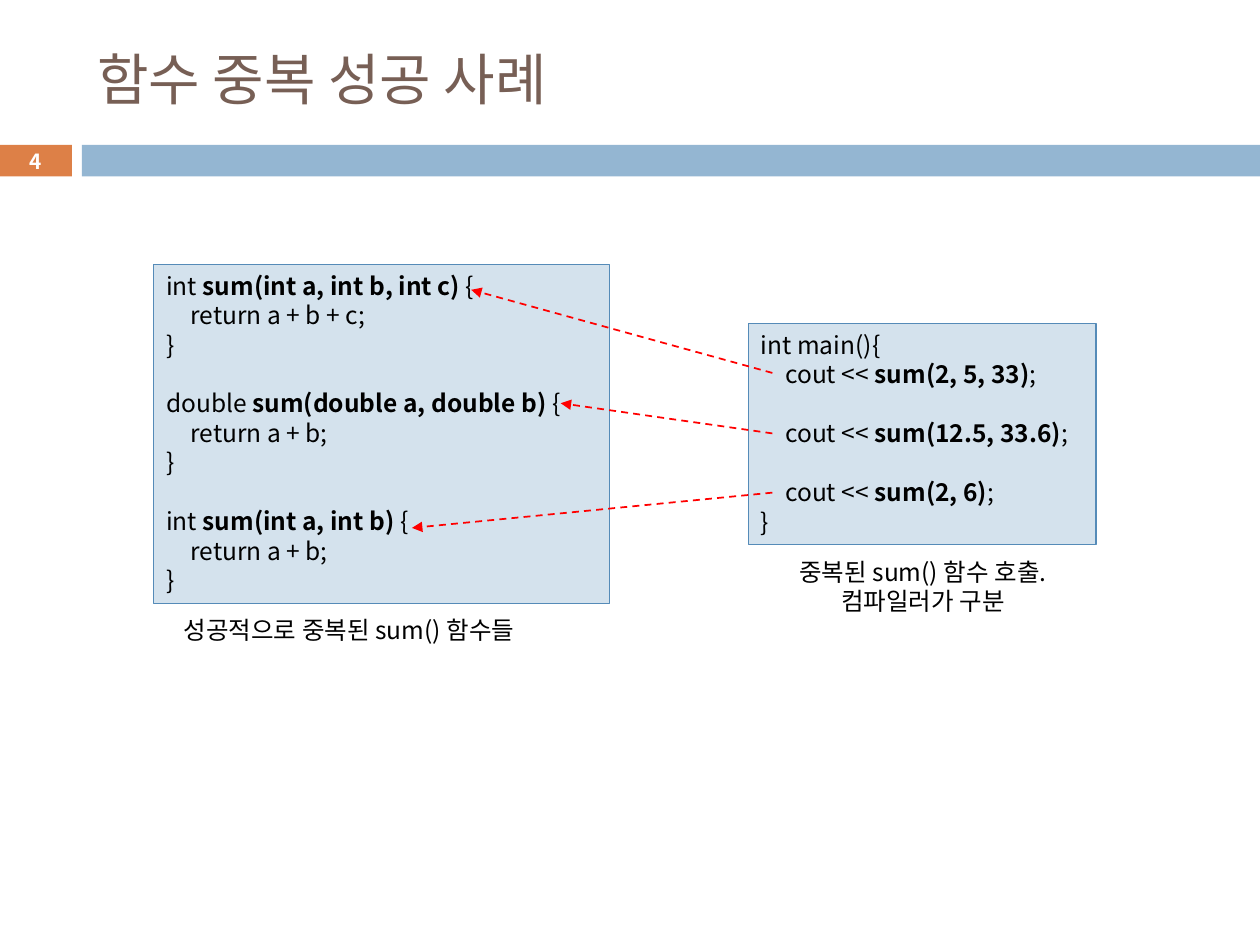
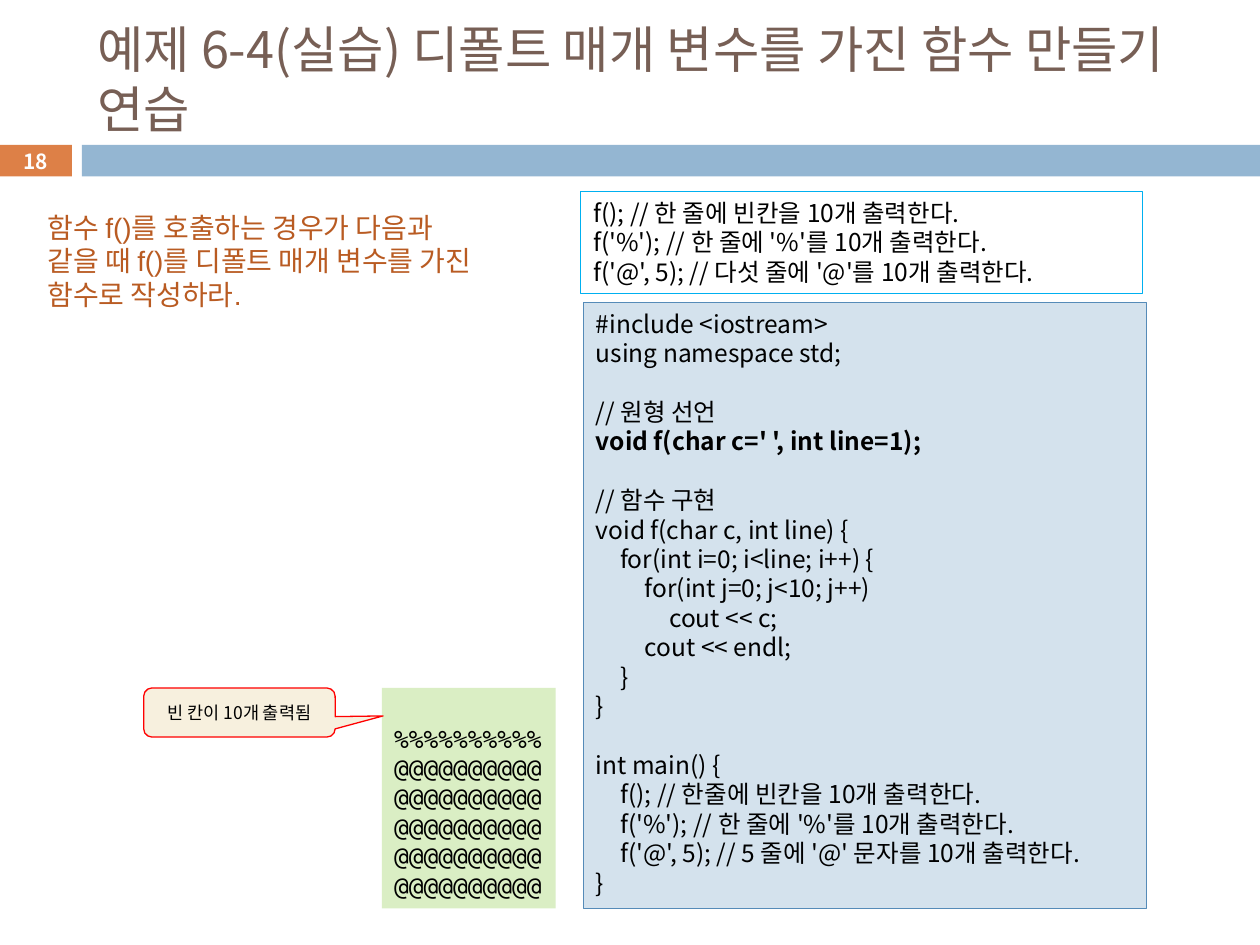
import pptx
import pptx.dml.color
import pptx.enum.dml
import pptx.enum.shapes
import pptx.enum.text
import pptx.oxml.ns
import pptx.util
from lxml import etree

Inches = pptx.util.Inches
Pt = pptx.util.Pt
RGBColor = pptx.dml.color.RGBColor
MSO_SHAPE = pptx.enum.shapes.MSO_SHAPE
PP_ALIGN = pptx.enum.text.PP_ALIGN
MSO_ANCHOR = pptx.enum.text.MSO_ANCHOR
qn = pptx.oxml.ns.qn

BLACK = RGBColor(0x00, 0x00, 0x00)
WHITE = RGBColor(0xFF, 0xFF, 0xFF)
BROWN = RGBColor(0x77, 0x5F, 0x55)
ORANGE = RGBColor(0xDD, 0x80, 0x47)
DARK_ORANGE = RGBColor(0xB9, 0x5B, 0x22)
BAND_BLUE = RGBColor(0x94, 0xB6, 0xD2)
CODE_FILL = RGBColor(0xD4, 0xE2, 0xED)
CODE_LINE = RGBColor(0x55, 0x8B, 0xB8)
CALL_LINE = RGBColor(0x00, 0xB0, 0xF0)
OUTPUT_GREEN = RGBColor(0xDA, 0xEE, 0xC4)
CREAM = RGBColor(0xF7, 0xF0, 0xDE)
RED = RGBColor(0xFF, 0x00, 0x00)

FONT = "Noto Sans CJK KR"
MONO = "DejaVu Sans Mono"
CODE_SIZE = 14
LEADING = 1.2
TAB = Pt(14)

# Code lines: (indent level, plain, bold, plain ...); None is a gap of one line
SUM_FUNCTIONS = [
    (0, "int ", "sum(int a, int b, int c) ", "{"),
    (1, "return a + b + c;"),
    (0, "}"),
    None,
    (0, "double ", "sum(double a, double b) ", "{"),
    (1, "return a + b;"),
    (0, "}"),
    None,
    (0, "int ", "sum(int a, int b) ", "{"),
    (1, "return a + b;"),
    (0, "}"),
]
SUM_MAIN = [
    (0, "int main(){"),
    (1, "cout << ", "sum(2, 5, 33)", ";"),
    None,
    (1, "cout << ", "sum(12.5, 33.6)", ";"),
    None,
    (1, "cout << ", "sum(2, 6)", ";"),
    (0, "}"),
]
DEFAULT_CALLS = [
    (0, "f(); // 한 줄에 빈칸을 10개 출력한다."),
    (0, "f('%'); // 한 줄에 '%'를 10개 출력한다."),
    (0, "f('@', 5); // 다섯 줄에 '@'를 10개 출력한다."),
]
DEFAULT_PROGRAM = [
    (0, "#include <iostream>"),
    (0, "using namespace std;"),
    None,
    (0, "// 원형 선언"),
    (0, "", "void f(char c=' ', int line=1);"),
    None,
    (0, "// 함수 구현"),
    (0, "void f(char c, int line) {"),
    (1, "for(int i=0; i<line; i++) {"),
    (2, "for(int j=0; j<10; j++)"),
    (3, "cout << c;"),
    (2, "cout << endl;"),
    (1, "}"),
    (0, "}"),
    None,
    (0, "int main() {"),
    (1, "f(); // 한줄에 빈칸을 10개 출력한다."),
    (1, "f('%'); // 한 줄에 '%'를 10개 출력한다."),
    (1, "f('@', 5); // 5 줄에 '@' 문자를 10개 출력한다."),
    (0, "}"),
]


def add_span(para, text, size, color, bold=False, font=FONT):
    span = para.add_run()
    span.text = text
    span.font.size = Pt(size)
    span.font.bold = bold
    span.font.color.rgb = color
    span.font.name = font
    east_asian = etree.SubElement(span._r.get_or_add_rPr(), qn("a:ea"))
    east_asian.set("typeface", FONT)


def write_lines(shape, lines, size=CODE_SIZE, color=BLACK, bold=False, font=FONT,
                align=PP_ALIGN.LEFT, anchor=MSO_ANCHOR.TOP, wrap=True):
    frame = shape.text_frame
    frame.word_wrap = wrap
    frame.auto_size = pptx.enum.text.MSO_AUTO_SIZE.NONE
    frame.vertical_anchor = anchor
    para, gap = None, 0
    for line in lines:
        if line is None:
            gap += size * LEADING
            continue
        para = frame.paragraphs[0] if para is None else frame.add_paragraph()
        para.alignment = align
        para.line_spacing = Pt(size * LEADING)
        para.space_before = Pt(gap)
        gap = 0
        level, *parts = line
        if level:
            para._p.get_or_add_pPr().set("marL", str(level * TAB))
        for index, part in enumerate(parts):
            if part:
                add_span(para, part, size, color, bold or index % 2 == 1, font)


def add_panel(page, box, fill=None, line=None, kind=MSO_SHAPE.RECTANGLE):
    panel = page.shapes.add_shape(kind, *map(Inches, box))
    panel.shadow.inherit = False
    if fill is None:
        panel.fill.background()
    else:
        panel.fill.solid()
        panel.fill.fore_color.rgb = fill
    if line is None:
        panel.line.fill.background()
    else:
        panel.line.color.rgb = line
        panel.line.width = Pt(0.75)
    return panel


def add_code(page, box, lines):
    write_lines(add_panel(page, box, CODE_FILL, CODE_LINE), lines)


def add_note(page, box, lines, **style):
    note = page.shapes.add_textbox(*map(Inches, box))
    write_lines(note, [(0, text) for text in lines], **style)


def add_call_arrow(page, start, end):
    arrow = page.shapes.add_connector(
        pptx.enum.shapes.MSO_CONNECTOR.STRAIGHT, *map(Inches, start + end))
    arrow.line.color.rgb = RED
    arrow.line.width = Pt(1)
    arrow.line.dash_style = pptx.enum.dml.MSO_LINE.DASH
    etree.SubElement(arrow.line._get_or_add_ln(), qn("a:tailEnd")).set("type", "triangle")
    etree.SubElement(arrow._element.spPr, qn("a:effectLst"))


def add_page(deck, title, number, title_size):
    """Add a page with the shared title, bands and page number."""
    page = deck.slides.add_slide(deck.slide_layouts[5])
    heading = page.shapes.title
    heading.left, heading.top, heading.width, heading.height = map(
        Inches, (0.67, 0.25, 8.92, 0.74))
    write_lines(heading, [(0, title)], title_size, BROWN, anchor=MSO_ANCHOR.MIDDLE)

    number_band = add_panel(page, (-0.01, 1.15, 0.58, 0.25), ORANGE)
    write_lines(number_band, [(0, number)], 11.9, WHITE, bold=True,
                align=PP_ALIGN.CENTER, anchor=MSO_ANCHOR.MIDDLE)
    add_panel(page, (0.65, 1.15, 9.35, 0.25), BAND_BLUE)
    return page


def add_output(page, box):
    """Program output, with a callout on its blank first line."""
    left, top, width, height = box
    output = add_panel(page, box, OUTPUT_GREEN)
    rows = ["%" * 10] + ["@" * 10] * 5
    # The first printed line holds only spaces
    output.text_frame.margin_top = Inches(0.05) + Pt(CODE_SIZE * LEADING)
    write_lines(output, [(0, row) for row in rows], font=MONO, wrap=False)

    callout = add_panel(page, (left - 1.89, top, 1.52, 0.39), CREAM, RED,
                        MSO_SHAPE.ROUNDED_RECTANGULAR_CALLOUT)
    for index, value in enumerate((0.75, 0.07, 0.17)):
        callout.adjustments[index] = value
    write_lines(callout, [(0, "빈 칸이 10개 출력됨")], 10,
                align=PP_ALIGN.CENTER, anchor=MSO_ANCHOR.MIDDLE)


def build_overload_page(deck):
    page = add_page(deck, "함수 중복 성공 사례", "4", 32)
    # Overloaded functions and their caller
    add_code(page, (1.22, 2.1, 3.62, 2.69), SUM_FUNCTIONS)
    add_code(page, (5.94, 2.57, 2.76, 1.75), SUM_MAIN)
    add_note(page, (1.36, 4.83, 3.06, 0.34), ["성공적으로 중복된 sum() 함수들"])
    add_note(page, (6.13, 4.37, 2.39, 0.57),
             ["중복된 sum() 함수 호출.", "컴파일러가 구분"], align=PP_ALIGN.CENTER)
    # Each call points at the function it selects
    for call_y, target in ((2.96, (3.74, 2.3)), (3.44, (4.45, 3.2)), (3.91, (3.27, 4.19))):
        add_call_arrow(page, (6.13, call_y), target)


def build_default_page(deck):
    page = add_page(
        deck, "예제 6-4(실습) 디폴트 매개 변수를 가진 함수 만들기 연습", "18", 28.8)
    # Task
    add_note(page, (0.28, 1.62, 3.62, 0.91),
             ["함수 f()를 호출하는 경우가 다음과 같을 때 f()를 디폴트 매개 변수를 가진 함수로 작성하라."],
             size=16, color=DARK_ORANGE, font="Arial")
    # Solution, its output and the required calls
    add_code(page, (4.63, 2.4, 4.47, 4.81), DEFAULT_PROGRAM)
    add_output(page, (3.03, 5.46, 1.38, 1.75))
    write_lines(add_panel(page, (4.61, 1.52, 4.46, 0.81), line=CALL_LINE), DEFAULT_CALLS)


def main():
    deck = pptx.Presentation()
    deck.slide_width, deck.slide_height = Inches(10), Inches(7.5)
    build_overload_page(deck)
    build_default_page(deck)
    deck.save("out.pptx")


if __name__ == "__main__":
    main()
